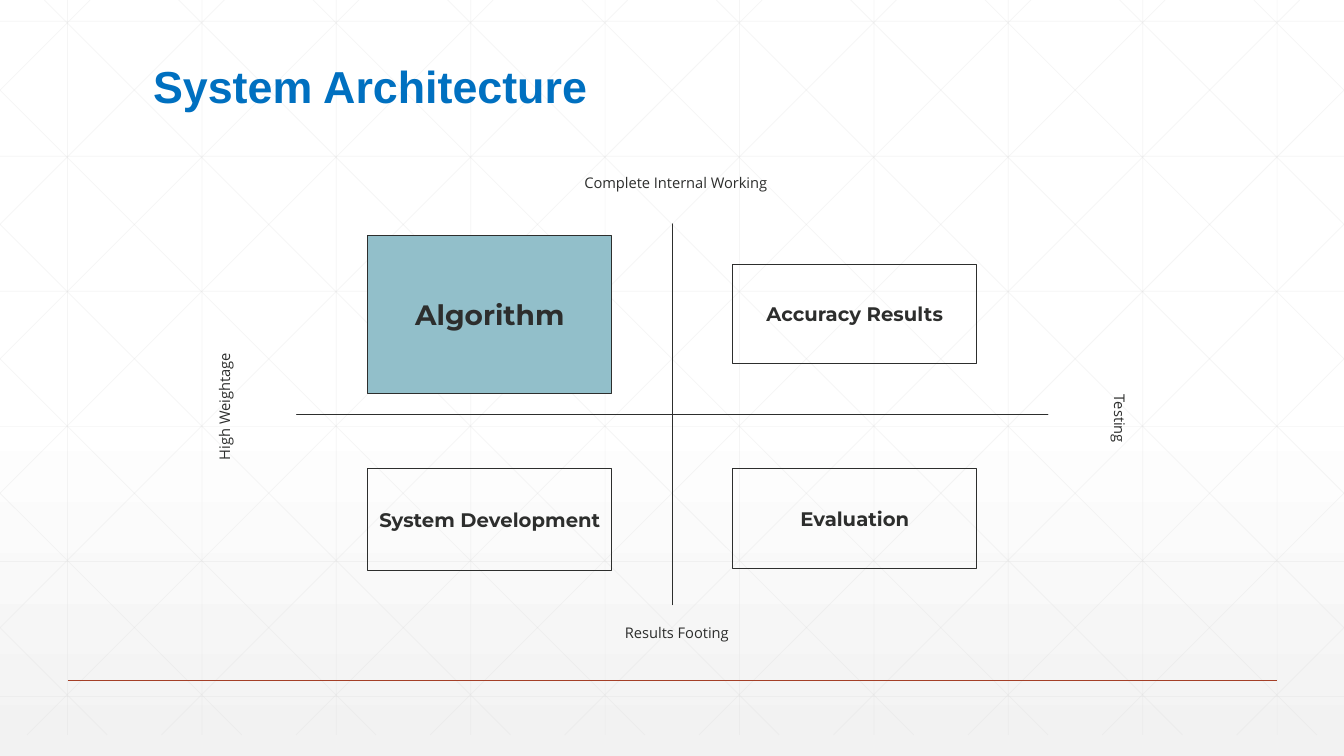
import lxml.etree
import pptx
import pptx.dml.color
import pptx.enum.shapes
import pptx.enum.text
import pptx.oxml.ns
import pptx.util
from pptx.dml.color import RGBColor
from pptx.util import Inches

WHITE = RGBColor(0xFF, 0xFF, 0xFF)
PALE_GREY = RGBColor(0xF2, 0xF2, 0xF2)
GRID_GREY = RGBColor(0xD9, 0xD9, 0xD9)
RUST = RGBColor(0xA4, 0x3F, 0x27)
BLUE = RGBColor(0x00, 0x70, 0xC0)
INK = RGBColor(0x2D, 0x2E, 0x2D)
TEAL = RGBColor(0x92, 0xBF, 0xCA)

SLIDE_WIDTH = 13.333
GRID_BOTTOM = 7.29
GRID_STEP = 4 / 3


def add_background(slide):
    fill = slide.background.fill
    fill.gradient()
    fill.gradient_angle = 270
    for stop, position, color in zip(fill.gradient_stops, (0.53, 1), (WHITE, PALE_GREY)):
        stop.position = position
        stop.color.rgb = color


def add_line(slide, start, end, color, width, opacity=100):
    line = slide.shapes.add_connector(
        pptx.enum.shapes.MSO_CONNECTOR.STRAIGHT,
        Inches(start[0]), Inches(start[1]), Inches(end[0]), Inches(end[1]))
    line.line.color.rgb = color
    line.line.width = pptx.util.Pt(width)
    qn = pptx.oxml.ns.qn
    properties = line._element.spPr
    if opacity < 100:
        color_element = properties.find(".//" + qn("a:srgbClr"))
        lxml.etree.SubElement(color_element, qn("a:alpha")).set("val", str(opacity * 1000))
    lxml.etree.SubElement(properties, qn("a:effectLst"))


def add_grid(slide):
    def grid_line(start, end):
        add_line(slide, start, end, GRID_GREY, 0.5, 25)

    for column in range(10):
        x = 0.67 + column * GRID_STEP
        grid_line((x, 0), (x, GRID_BOTTOM))
    for row in range(6):
        y = 0.21 + row * 1.34
        grid_line((0, y), (SLIDE_WIDTH, y))
    # Diagonals at 45 degrees, cut at the slide's sides, in both directions
    for index in range(-5, 10):
        x = 0.44 + index * GRID_STEP
        top = max(0, -x)
        bottom = min(GRID_BOTTOM, SLIDE_WIDTH - x)
        grid_line((x + top, top), (x + bottom, bottom))
        grid_line((SLIDE_WIDTH - x - top, top), (SLIDE_WIDTH - x - bottom, bottom))


def write_text(shape, text, font_name, size, color, bold=False,
               align=pptx.enum.text.PP_ALIGN.CENTER,
               anchor=pptx.enum.text.MSO_ANCHOR.TOP):
    frame = shape.text_frame
    frame.text = text
    frame.word_wrap = True
    frame.vertical_anchor = anchor
    paragraph = frame.paragraphs[0]
    paragraph.alignment = align
    font = paragraph.runs[0].font
    font.name = font_name
    font.size = pptx.util.Pt(size)
    font.bold = bold
    font.color.rgb = color
    return frame


def set_margins(frame):
    frame.margin_left = frame.margin_right = Inches(0.1)
    frame.margin_top = frame.margin_bottom = Inches(0.1)


def add_title(slide, text):
    box = slide.shapes.add_textbox(Inches(1.42), Inches(0.5), Inches(10.5), Inches(0.67))
    frame = write_text(box, text, "Arial", 32, BLUE, True,
                       pptx.enum.text.PP_ALIGN.LEFT, pptx.enum.text.MSO_ANCHOR.BOTTOM)
    frame.paragraphs[0].line_spacing = 0.9


def add_axis_label(slide, text, left, top, width, height, rotation=0):
    box = slide.shapes.add_textbox(Inches(left), Inches(top), Inches(width), Inches(height))
    box.rotation = rotation
    set_margins(write_text(box, text, "Open Sans", 10.5, INK))


def add_outlined_shape(slide, kind, left, top, width, height, fill=None):
    shape = slide.shapes.add_shape(
        kind, Inches(left), Inches(top), Inches(width), Inches(height))
    shape.shadow.inherit = False
    if fill is None:
        shape.fill.background()
    else:
        shape.fill.solid()
        shape.fill.fore_color.rgb = fill
    shape.line.color.rgb = INK
    shape.line.width = pptx.util.Pt(0.75)
    return shape


def add_quadrant_box(slide, text, left, top, height, size=14, fill=None):
    box = add_outlined_shape(slide, pptx.enum.shapes.MSO_SHAPE.RECTANGLE,
                             left, top, 2.42, height, fill)
    set_margins(write_text(box, text, "Montserrat", size, INK, True,
                           anchor=pptx.enum.text.MSO_ANCHOR.MIDDLE))


def main():
    presentation = pptx.Presentation()
    presentation.slide_width = Inches(SLIDE_WIDTH)
    presentation.slide_height = Inches(7.5)
    slide = presentation.slides.add_slide(presentation.slide_layouts[6])

    # Backdrop, footer rule and title
    add_background(slide)
    add_grid(slide)
    add_line(slide, (0.67, 6.75), (12.67, 6.75), RUST, 1)
    add_title(slide, "System Architecture")

    # Crossed axes with a label at each end
    axes = add_outlined_shape(slide, pptx.enum.shapes.MSO_SHAPE.MATH_PLUS,
                              1.6, 1.54, 10.14, 5.14)
    axes.adjustments[0] = 0
    add_axis_label(slide, "Complete Internal Working", 5.42, 1.64, 2.57, 0.55)
    add_axis_label(slide, "Results Footing", 5.29, 6.1, 2.85, 0.55)
    add_axis_label(slide, "High Weightage", 0.87, 3.79, 2.85, 0.49, 270)
    add_axis_label(slide, "Testing", 9.58, 3.91, 2.92, 0.49, 90)

    # One box in each quadrant
    left_column, right_column = 3.65, 7.27
    add_quadrant_box(slide, "Algorithm", left_column, 2.34, 1.56, 20, TEAL)
    add_quadrant_box(slide, "System Development", left_column, 4.65, 1.01)
    add_quadrant_box(slide, "Evaluation", right_column, 4.65, 0.99)
    add_quadrant_box(slide, "Accuracy Results", right_column, 2.62, 0.99)

    presentation.save("out.pptx")


if __name__ == "__main__":
    main()
